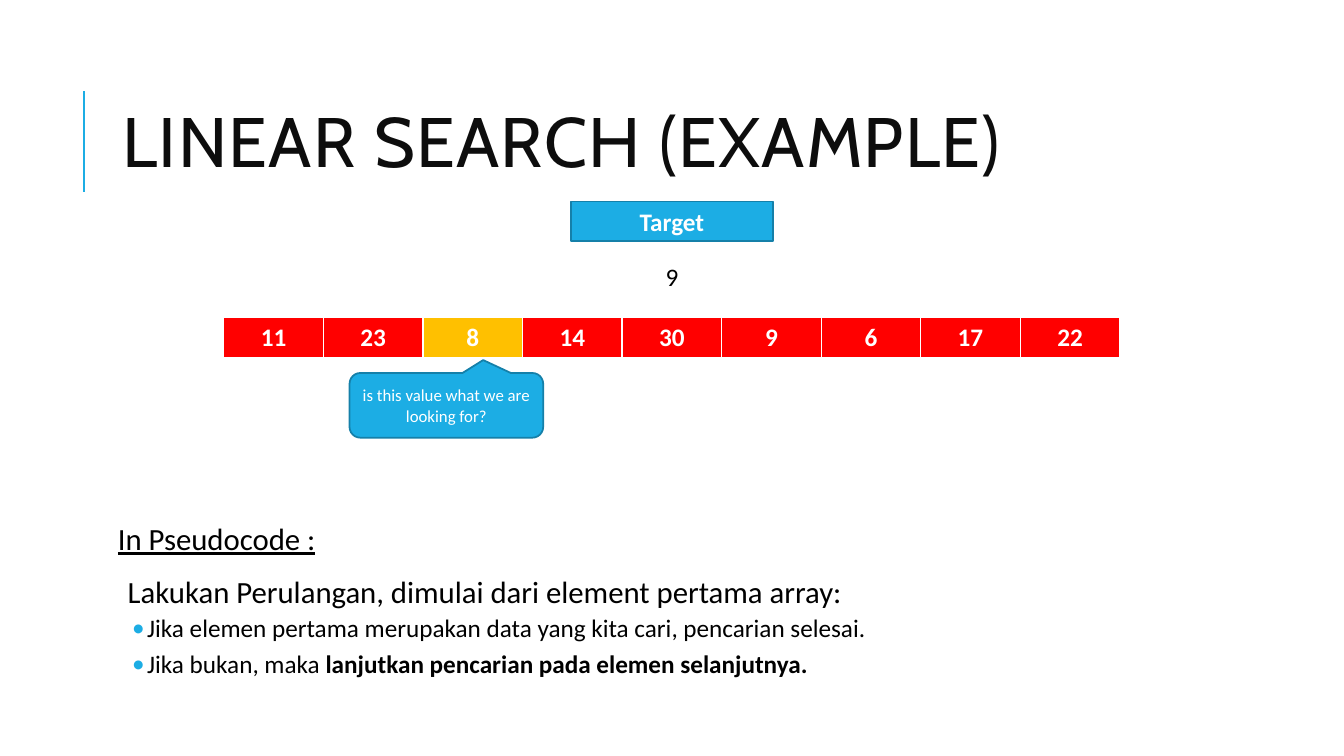
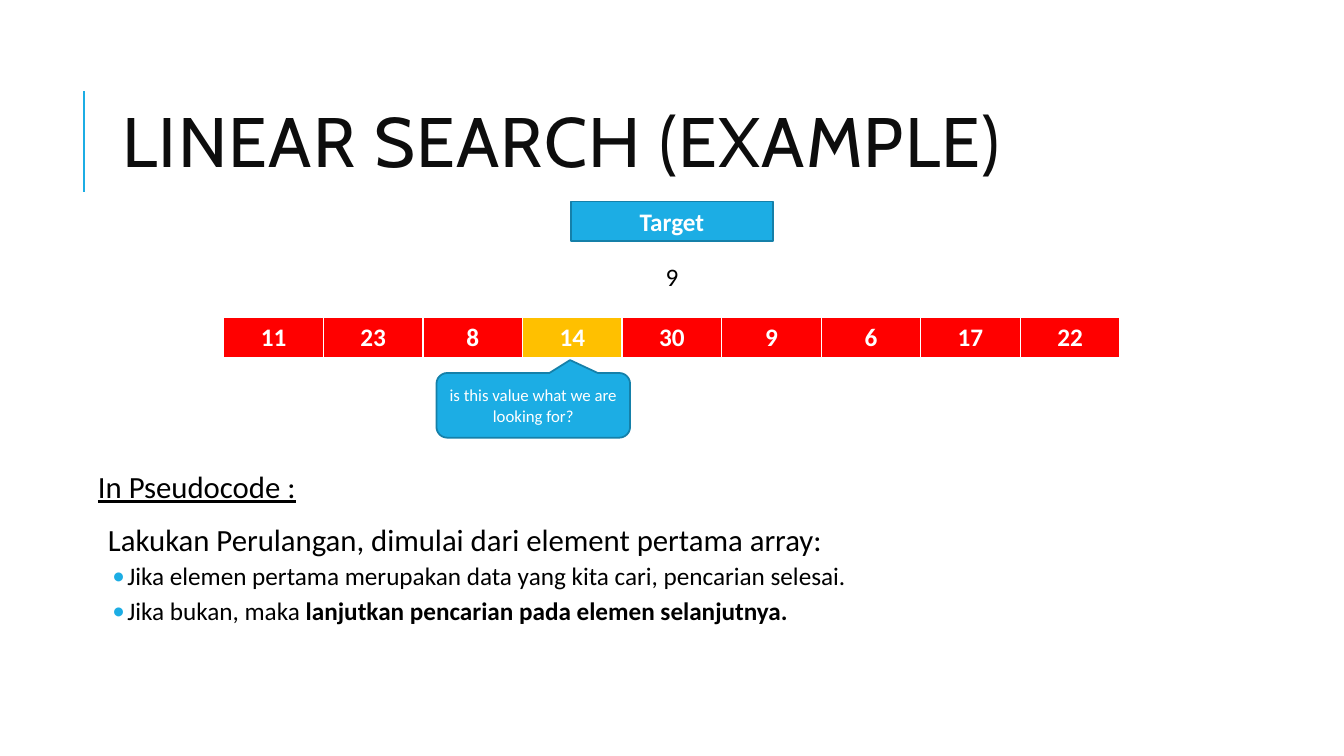
"""Build two slides that step through a linear search."""
from lxml import etree
from pptx import Presentation
from pptx import util as u
from pptx.dml.color import RGBColor
from pptx.enum import shapes, text
from pptx.oxml import ns

TITLE = "LINEAR SEARCH (EXAMPLE)"
TARGET = "9"
QUESTION = "is this value what we are looking for?"
VALUES = [11, 23, 8, 14, 30, 9, 6, 17, 22]
STEPS = [
    {"checked": 2, "callout_left": 8.81, "pseudocode": (2.84, 13.08)},
    {"checked": 3, "callout_left": 11.0, "pseudocode": (2.34, 11.76)},
]
HEADING = {"size": 22, "before": 0, "after": 2, "margin": 0}
LOOP = {"size": 22, "before": 12, "after": 2, "margin": 0.25}
BRANCH = {"size": 18, "before": 2, "after": 4, "margin": 0.74, "hanging": 0.38}
PSEUDOCODE = [
    (HEADING, [("In Pseudocode :", {"underline": True})]),
    (LOOP, [("Lakukan Perulangan, dimulai dari element pertama array:", {})]),
    (BRANCH, [("Jika elemen pertama merupakan data yang kita cari, pencarian selesai.", {})]),
    (BRANCH, [("Jika bukan, maka ", {}),
              ("lanjutkan pencarian pada elemen selanjutnya.", {"bold": True})]),
]

BLUE, DARK_BLUE, RED, AMBER = "1CADE4", "1580A9", "FF0000", "FFC000"
WHITE, BLACK, INK = "FFFFFF", "000000", "0D0D0D"
BODY_FONT, TITLE_FONT = "Calibri", "Cabin"
SLIDE_W, SLIDE_H = 33.87, 19.05
TARGET_W, CELL_W, CELL_H = 5.08, 2.51, 1.04
BORDERS = {"a:lnL": 1, "a:lnT": 1, "a:lnR": 1, "a:lnB": 3}


def rgb(color):
    """Turn a hex string into a colour."""
    return RGBColor.from_string(color)


def add_xml(parent, tag, **attributes):
    """Append a namespaced element and return it."""
    return etree.SubElement(parent, ns.qn(tag), attributes)


def box(left, top, width, height):
    """Turn centimetres into lengths."""
    return [u.Cm(value) for value in (left, top, width, height)]


def centred(width):
    """Return the left edge that centres a width on the slide."""
    return (SLIDE_W - width) / 2


def style(run, size, color, font=BODY_FONT, bold=False, underline=False):
    """Format one run."""
    run.font.name, run.font.size = font, u.Pt(size)
    run.font.color.rgb = rgb(color)
    run.font.bold, run.font.underline = bold, underline


def write(frame, words, size, color, align=text.PP_ALIGN.CENTER, **look):
    """Fill a frame with one formatted paragraph and return its run."""
    frame.text = words
    frame.word_wrap = True
    paragraph = frame.paragraphs[0]
    paragraph.alignment = align
    style(paragraph.runs[0], size, color, **look)
    return paragraph.runs[0]


def add_label(slide, kind, place, words, size, bold=False):
    """Add a blue shape with centred white text."""
    label = slide.shapes.add_shape(kind, *box(*place))
    label.shadow.inherit = False
    label.fill.solid()
    label.fill.fore_color.rgb = rgb(BLUE)
    label.line.color.rgb = rgb(DARK_BLUE)
    label.line.width = u.Pt(1.25)
    label.text_frame.vertical_anchor = text.MSO_ANCHOR.MIDDLE
    write(label.text_frame, words, size, WHITE, bold=bold)
    return label


def add_title(slide):
    """Add the title and the blue rule beside it."""
    ends = box(2.11, 4.83, 2.11, 2.29)
    rule = slide.shapes.add_connector(shapes.MSO_CONNECTOR.STRAIGHT, *ends)
    rule.line.color.rgb = rgb(BLUE)
    rule.line.width = u.Pt(1.5)
    add_xml(rule._element.spPr, "a:effectLst")
    frame = slide.shapes.add_textbox(*box(2.84, 1.63, 27, 4.17)).text_frame
    frame.vertical_anchor = text.MSO_ANCHOR.MIDDLE
    run = write(frame, TITLE, 50, INK, text.PP_ALIGN.LEFT, font=TITLE_FONT)
    run._r.get_or_add_rPr().set("spc", "100")
    frame.paragraphs[0].line_spacing = 0.8


def add_array(slide, checked):
    """Add the array as a table with the checked value highlighted."""
    width = CELL_W * len(VALUES)
    place = box(centred(width), 8, width, CELL_H)
    array = slide.shapes.add_table(1, len(VALUES), *place).table
    array.first_row = array.horz_banding = False
    for index, value in enumerate(VALUES):
        array.columns[index].width = u.Cm(CELL_W)
        cell = array.cell(0, index)
        write(cell.text_frame, str(value), 18, WHITE, bold=True)
        properties = cell._tc.get_or_add_tcPr()
        for side in ("a:lnL", "a:lnR", "a:lnT", "a:lnB"):
            border = add_xml(properties, side, w=str(u.Pt(BORDERS[side])))
            add_xml(add_xml(border, "a:solidFill"), "a:srgbClr", val=WHITE)
        cell.fill.solid()
        cell.fill.fore_color.rgb = rgb(AMBER if index == checked else RED)


def add_pseudocode(slide, left, top):
    """Add the pseudocode with its bulleted branches."""
    frame = slide.shapes.add_textbox(*box(left, top, 27, 4.45)).text_frame
    frame.word_wrap = True
    frame.margin_left = frame.margin_right = u.Cm(0.13)
    frame.margin_top = frame.margin_bottom = u.Cm(0.13)
    for index, (level, pieces) in enumerate(PSEUDOCODE):
        paragraph = frame.add_paragraph() if index else frame.paragraphs[0]
        paragraph.line_spacing = 0.9
        paragraph.space_before = u.Pt(level["before"])
        paragraph.space_after = u.Pt(level["after"])
        properties = paragraph._p.get_or_add_pPr()
        properties.set("marL", str(u.Cm(level["margin"])))
        if "hanging" in level:
            properties.set("indent", str(-u.Cm(level["hanging"])))
            add_xml(add_xml(properties, "a:buClr"), "a:srgbClr", val=BLUE)
            add_xml(properties, "a:buFont", typeface=BODY_FONT)
            add_xml(properties, "a:buChar", char="•")
        for words, look in pieces:
            run = paragraph.add_run()
            run.text = words
            style(run, level["size"], BLACK, **look)


def add_step(deck, step):
    """Add the slide for one step of the search."""
    slide = deck.slides.add_slide(deck.slide_layouts[6])
    add_title(slide)
    add_pseudocode(slide, *step["pseudocode"])
    left = centred(TARGET_W)
    add_label(slide, shapes.MSO_SHAPE.RECTANGLE, (left, 5.08, TARGET_W, 1), "Target", 18, True)
    target = slide.shapes.add_textbox(*box(left, 6.45, TARGET_W, 1.02))
    write(target.text_frame, TARGET, 18, BLACK)
    add_array(slide, step["checked"])
    question = add_label(slide, shapes.MSO_SHAPE.ROUNDED_RECTANGULAR_CALLOUT,
                         (step["callout_left"], 9.4, 4.88, 1.63), QUESTION, 12)
    question.adjustments[0], question.adjustments[1] = 0.19, -0.7


def main():
    """Build and save the deck."""
    deck = Presentation()
    deck.slide_width, deck.slide_height = u.Cm(SLIDE_W), u.Cm(SLIDE_H)
    for step in STEPS:
        add_step(deck, step)
    deck.save("out.pptx")


if __name__ == "__main__":
    main()
